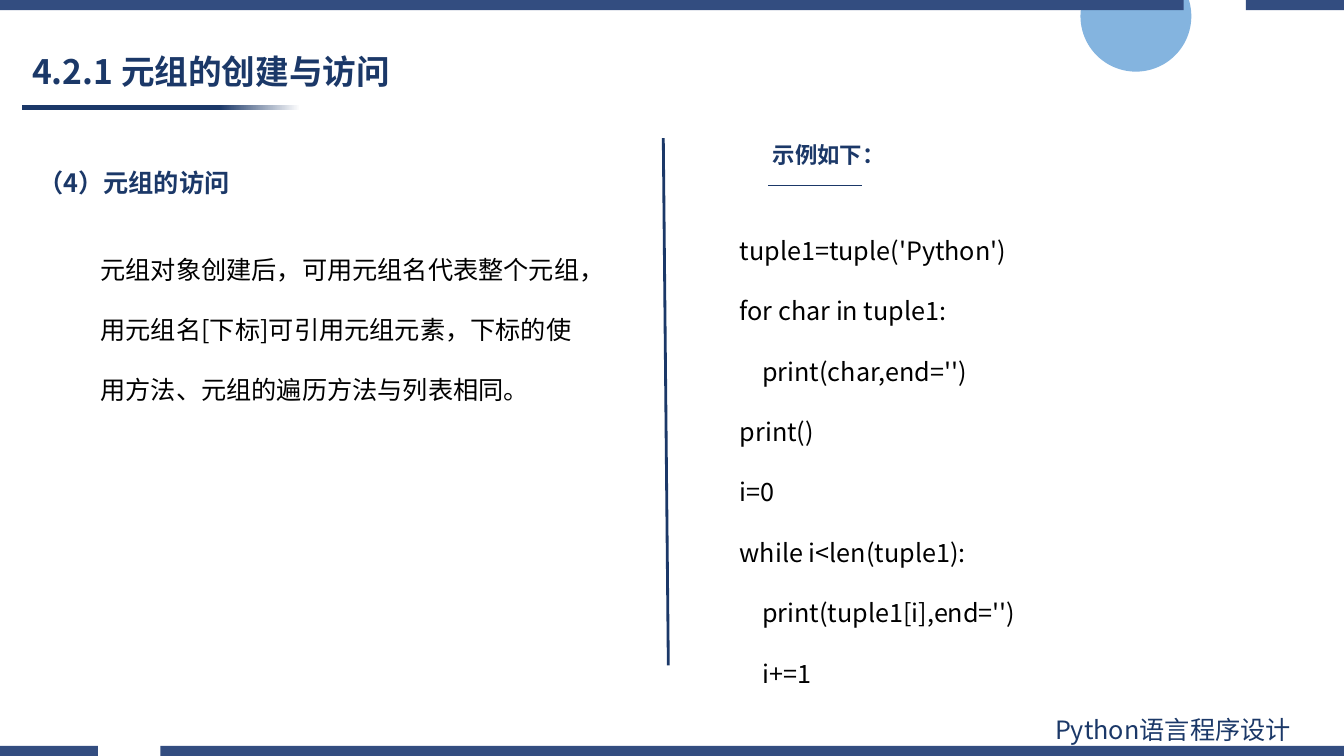
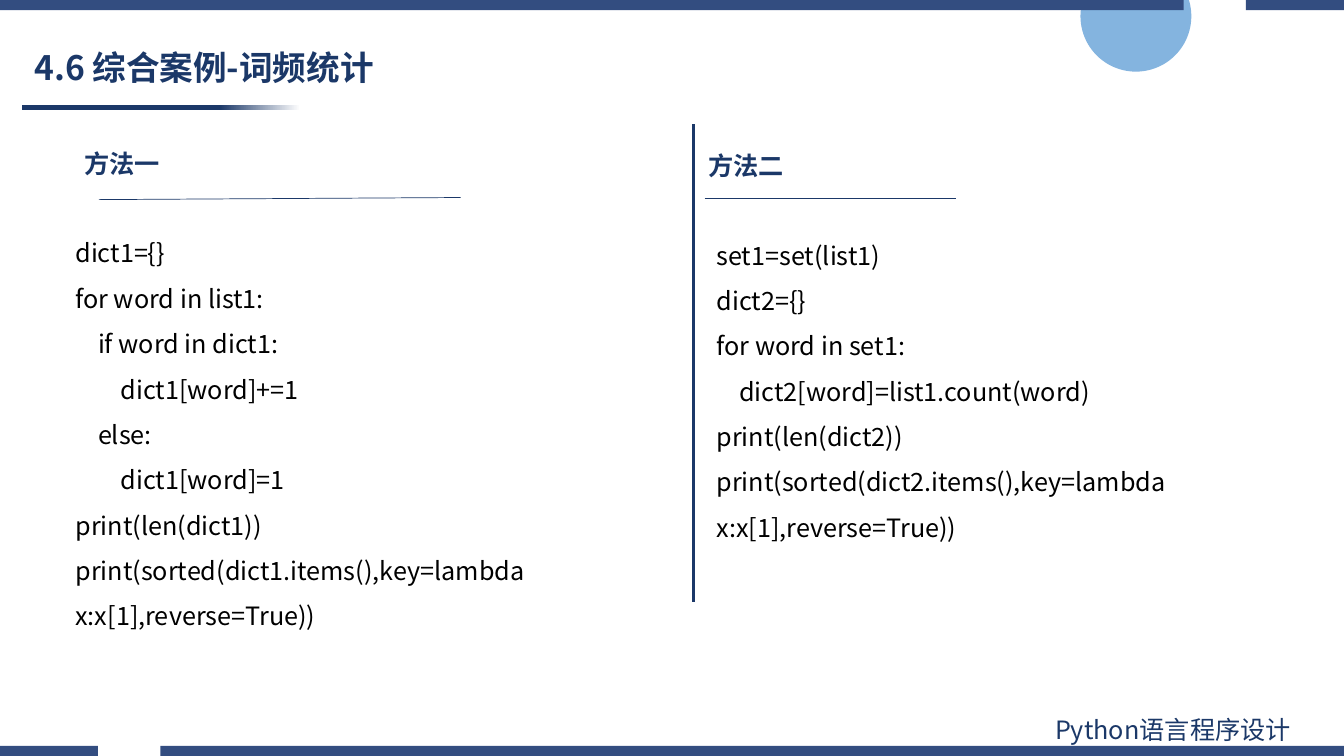
from dataclasses import dataclass

from lxml.etree import SubElement
from pptx import Presentation
from pptx.dml.color import RGBColor
from pptx.enum.shapes import MSO_CONNECTOR, MSO_SHAPE
from pptx.enum.text import MSO_ANCHOR, MSO_AUTO_SIZE, PP_ALIGN
from pptx.oxml.ns import qn
from pptx.util import Pt


@dataclass(frozen=True)
class Theme:
    navy: RGBColor = RGBColor(0x1B, 0x38, 0x68)
    band: RGBColor = RGBColor(0x33, 0x4D, 0x80)
    sky: RGBColor = RGBColor(0x5B, 0x9B, 0xD5)
    ink: RGBColor = RGBColor(0, 0, 0)
    white: RGBColor = RGBColor(255, 255, 255)
    font: str = "Noto Sans CJK SC"
    title_size: int = 24
    text_size: int = 18
    small_size: int = 16


THEME = Theme()
WIDTH, HEIGHT = 960, 540
BAND_HEIGHT = 7.2
GAP_START, GAP_END = 70, 114.5


def points(*lengths):
    return [Pt(length) for length in lengths]


def add_run(paragraph, text, size, color, bold=False):
    run = paragraph.add_run()
    run.text = text
    run.font.name = THEME.font
    run.font.size = Pt(size)
    run.font.bold = bold
    run.font.color.rgb = color
    SubElement(run.font._element, qn("a:ea"), typeface=THEME.font)


def add_text(slide, box, lines, size, color, bold=False, spacing=1.0):
    frame = slide.shapes.add_textbox(*points(*box)).text_frame
    frame.word_wrap = True
    for index, line in enumerate(lines):
        paragraph = frame.add_paragraph() if index else frame.paragraphs[0]
        paragraph.line_spacing = spacing
        add_run(paragraph, line, size, color, bold)


def add_rule(slide, start, end, weight):
    rule = slide.shapes.add_connector(MSO_CONNECTOR.STRAIGHT, *points(*start, *end))
    rule.line.color.rgb = THEME.navy
    rule.line.width = Pt(weight)
    SubElement(rule.element.spPr, qn("a:effectLst"))


def add_plain_shape(slide, kind, box):
    shape = slide.shapes.add_shape(kind, *points(*box))
    shape.shadow.inherit = False
    shape.line.fill.background()
    return shape


def add_band(slide, top, gap_start, gap_end):
    """Full-width edge band, broken by one gap."""
    bottom = top + BAND_HEIGHT
    outline = slide.shapes.build_freeform(Pt(0), Pt(top))
    for left, right in ((0, gap_start), (gap_end, WIDTH)):
        if left:
            outline.move_to(Pt(left), Pt(top))
        corners = ((right, top), (right, bottom), (left, bottom))
        outline.add_line_segments([points(*corner) for corner in corners])
    band = outline.convert_to_shape()
    band.shadow.inherit = False
    band.fill.solid()
    band.fill.fore_color.rgb = THEME.band
    band.line.fill.background()


def add_frame(slide):
    """Circle, title underline, edge bands and course name."""
    circle = add_plain_shape(slide, MSO_SHAPE.OVAL, (771.8, -28, 79.2, 79.2))
    circle.fill.solid()
    circle.fill.fore_color.rgb = THEME.sky
    color = circle.element.spPr.find(qn("a:solidFill"))[0]
    SubElement(color, qn("a:alpha"), val="75000")

    underline = add_plain_shape(slide, MSO_SHAPE.RECTANGLE, (15.7, 75.2, 198.7, 3.6))
    underline.fill.gradient()
    underline.fill.gradient_angle = 0
    stops = ((0.71, THEME.navy), (1, THEME.white))
    for stop, (position, tint) in zip(underline.fill.gradient_stops, stops):
        stop.position = position
        stop.color.rgb = tint

    add_band(slide, HEIGHT - BAND_HEIGHT, GAP_START, GAP_END)
    add_band(slide, 0, WIDTH - GAP_END, WIDTH - GAP_START)
    add_text(slide, (746.6, 506.9, 211.7, 29), ["Python语言程序设计"],
             THEME.text_size, THEME.navy)


def prepare_layout(prs):
    """Move the shared frame onto the title layout; return it with the first slide."""
    layout = prs.slide_layouts[5]
    for placeholder in list(layout.placeholders)[1:]:
        layout.shapes.element.remove(placeholder.element)
    first = prs.slides.add_slide(layout)
    add_frame(first)
    for shape in list(first.shapes)[1:]:
        layout.shapes.element.append(shape.element)
    return layout, first


def set_title(slide, left, top, text):
    title = slide.shapes.title
    title.left, title.top, title.width, title.height = points(left, top, 435, 40)
    frame = title.text_frame
    frame.auto_size = MSO_AUTO_SIZE.NONE
    frame.vertical_anchor = MSO_ANCHOR.MIDDLE
    paragraph = frame.paragraphs[0]
    paragraph.alignment = PP_ALIGN.LEFT
    paragraph.line_spacing = 0.9
    add_run(paragraph, text, THEME.title_size, THEME.navy, bold=True)


def add_panel(slide, origin, heading, lines, body, spacing, rule=None,
              heading_size=THEME.text_size):
    """Heading at origin; body (x, y, w, h) and rule (x1, y1, x2, y2) are relative to it."""
    left, top = origin
    add_text(slide, (left, top, 245, 29), [heading], heading_size, THEME.navy, bold=True)
    if rule:
        x1, y1, x2, y2 = rule
        add_rule(slide, (left + x1, top + y1), (left + x2, top + y2), 0.5)
    x, y, width, height = body
    add_text(slide, (left + x, top + y, width, height), lines,
             THEME.text_size, THEME.ink, spacing=spacing)


def build_access_slide(slide):
    set_title(slide, 15.8, 32.4, "4.2.1 元组的创建与访问")
    add_panel(slide, (20.2, 116), "（4）元组的访问", [
        "元组对象创建后，可用元组名代表整个元组，用元组名[下标]可引用元组元素，"
        "下标的使用方法、元组的遍历方法与列表相同。",
    ], body=(44.6, 40.2, 364.3, 160), spacing=2.0)
    add_panel(slide, (545, 97.2), "示例如下：", [
        "tuple1=tuple('Python')",
        "for char in tuple1:",
        "    print(char,end='')",
        "print()",
        "i=0",
        "while i<len(tuple1):",
        "    print(tuple1[i],end='')",
        "    i+=1",
    ], body=(-23.7, 45.4, 398, 350), spacing=2.0, rule=(3.6, 35.3, 70.6, 35.3),
        heading_size=THEME.small_size)
    add_rule(slide, (473.8, 98.6), (477.4, 475.2), 2)


def build_word_count_slide(slide):
    set_title(slide, 17.3, 29.5, "4.6 综合案例-词频统计")
    add_panel(slide, (53.3, 102.2), "方法一", [
        "dict1={}",
        "for word in list1:",
        "    if word in dict1:",
        "        dict1[word]+=1",
        "    else:",
        "        dict1[word]=1",
        "print(len(dict1))",
        "print(sorted(dict1.items(),key=lambda x:x[1],reverse=True))",
    ], body=(-6.5, 53.3, 431.3, 298), spacing=1.5, rule=(17.3, 40.4, 275.7, 38.9))
    add_panel(slide, (499, 103.7), "方法二", [
        "set1=set(list1)",
        "dict2={}",
        "for word in set1:",
        "    dict2[word]=list1.count(word)",
        "print(len(dict2))",
        "print(sorted(dict2.items(),key=lambda x:x[1],reverse=True))",
    ], body=(5.7, 53.3, 431.3, 232.6), spacing=1.5, rule=(4.3, 38.1, 183.6, 38.1))
    add_rule(slide, (495.4, 88.6), (495.4, 429.8), 2)


def main():
    prs = Presentation()
    prs.slide_width, prs.slide_height = points(WIDTH, HEIGHT)
    layout, first = prepare_layout(prs)
    build_access_slide(first)
    build_word_count_slide(prs.slides.add_slide(layout))
    prs.save("out.pptx")


if __name__ == "__main__":
    main()
